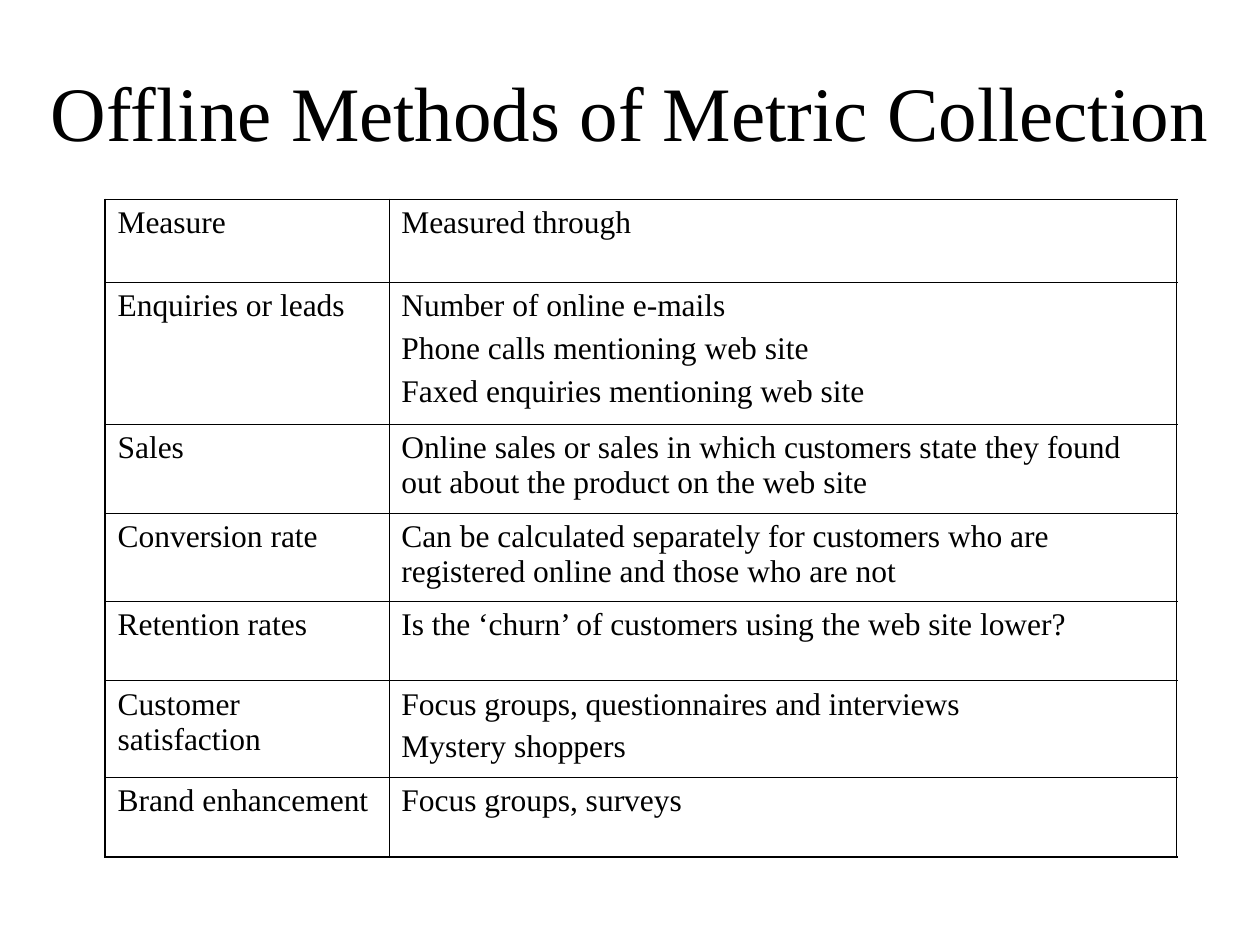
from dataclasses import dataclass

import lxml.etree
import pptx
import pptx.dml.color
import pptx.enum.text
import pptx.oxml.ns
import pptx.util

Cm = pptx.util.Cm
Pt = pptx.util.Pt


@dataclass(frozen=True)
class Theme:
    font: str = "Times New Roman"
    ink: str = "000000"
    title_size: float = 44
    table_size: float = 18
    space_before: float = 4.5
    outer_line: float = 1.08
    inner_line: float = 0.45


theme = Theme()


def write_text(frame, text, *, size, align=pptx.enum.text.PP_ALIGN.LEFT, before=0):
    """Fill the frame with one paragraph for each line of text."""
    frame.text = text
    for para in frame.paragraphs:
        para.alignment = align
        para.space_before = Pt(before)
        for span in para.runs:
            span.font.name = theme.font
            span.font.size = Pt(size)
            span.font.color.rgb = pptx.dml.color.RGBColor.from_string(theme.ink)


def set_borders(cell, widths):
    """Draw solid borders; widths maps L, R, T and B, in that order, to points."""
    properties = cell._tc.get_or_add_tcPr()
    for position, (side, width) in enumerate(widths.items()):
        line = lxml.etree.Element(pptx.oxml.ns.qn(f"a:ln{side}"), w=str(int(Pt(width))))
        fill = lxml.etree.SubElement(line, pptx.oxml.ns.qn("a:solidFill"))
        lxml.etree.SubElement(fill, pptx.oxml.ns.qn("a:srgbClr"), val=theme.ink)
        properties.insert(position, line)


deck = pptx.Presentation()
deck.slide_width = Cm(25.4)
deck.slide_height = Cm(19.05)
page = deck.slides.add_slide(deck.slide_layouts[5])

# Title
title = page.shapes.title
title.left, title.top, title.width, title.height = Cm(0.64), Cm(0.64), Cm(24.13), Cm(3.18)
title.text_frame.auto_size = pptx.enum.text.MSO_AUTO_SIZE.NONE
title.text_frame.vertical_anchor = pptx.enum.text.MSO_ANCHOR.MIDDLE
write_text(title.text_frame, "Offline Methods of Metric Collection",
           size=theme.title_size, align=pptx.enum.text.PP_ALIGN.CENTER)

# Each row: height in centimetres, measure, how it is measured
rows = [
    (1.67, "Measure", "Measured through"),
    (2.86, "Enquiries or leads",
     "Number of online e-mails\nPhone calls mentioning web site\n"
     "Faxed enquiries mentioning web site"),
    (1.79, "Sales",
     "Online sales or sales in which customers state they found out about "
     "the product on the web site"),
    (1.78, "Conversion rate",
     "Can be calculated separately for customers who are registered online "
     "and those who are not"),
    (1.6, "Retention rates", "Is the ‘churn’ of customers using the web site lower?"),
    (1.95, "Customer satisfaction",
     "Focus groups, questionnaires and interviews\nMystery shoppers"),
    (1.6, "Brand enhancement", "Focus groups, surveys"),
]
column_widths = [5.72, 15.88]

# Table
table = page.shapes.add_table(
    len(rows), len(column_widths), Cm(2.12), Cm(4.02),
    Cm(sum(column_widths)), Cm(sum(row[0] for row in rows))).table
table.first_row = False
table.horz_banding = False
for column, width in zip(table.columns, column_widths):
    column.width = Cm(width)

last_row, last_column = len(rows) - 1, len(column_widths) - 1
for r, (height, *texts) in enumerate(rows):
    table.rows[r].height = Cm(height)
    for c, text in enumerate(texts):
        cell = table.cell(r, c)
        cell.margin_left = cell.margin_right = Cm(0.25)
        cell.margin_top = cell.margin_bottom = Cm(0.13)
        cell.vertical_anchor = pptx.enum.text.MSO_ANCHOR.TOP
        cell.fill.background()
        write_text(cell.text_frame, text, size=theme.table_size, before=theme.space_before)
        on_edge = {"L": c == 0, "R": c == last_column, "T": r == 0, "B": r == last_row}
        set_borders(cell, {side: theme.outer_line if edge else theme.inner_line
                           for side, edge in on_edge.items()})

deck.save("out.pptx")
